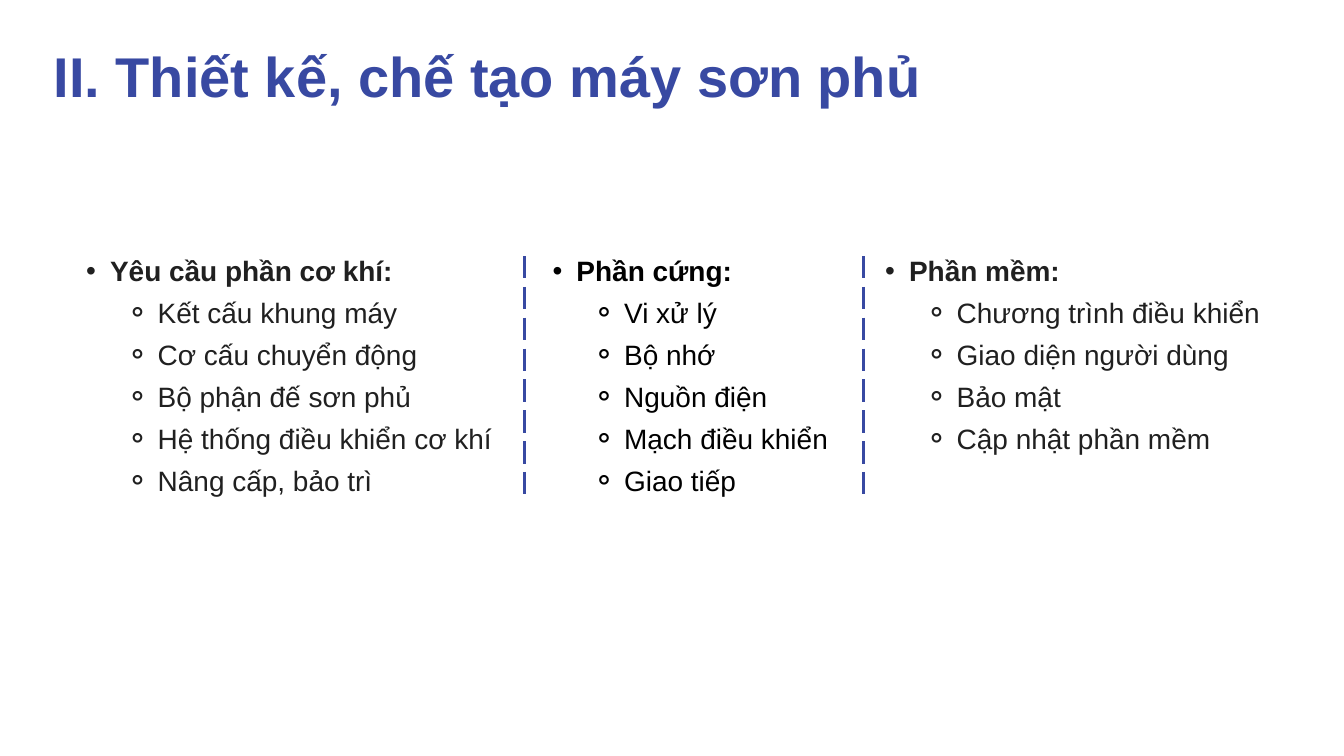
from dataclasses import dataclass

from lxml.etree import SubElement
from pptx import Presentation
from pptx.dml.color import RGBColor
from pptx.enum.dml import MSO_LINE
from pptx.enum.shapes import MSO_CONNECTOR
from pptx.enum.text import MSO_ANCHOR, MSO_AUTO_SIZE, PP_ALIGN
from pptx.oxml.ns import qn
from pptx.util import Cm, Pt


@dataclass(frozen=True)
class Theme:
    font: str = "Arial"
    blue: str = "3849A2"
    dark: str = "202020"
    black: str = "000000"
    head: int = 60
    body: int = 30


theme = Theme()


def write(para, text, *, size, color, lead, bold=False, align=PP_ALIGN.LEFT,
          level=0, mark=None, left=0, hang=0):
    """Fill a paragraph; mark is its bullet, left and hang its indents."""
    para.level = level
    para.alignment = align
    para.line_spacing = Pt(lead)
    para.space_before = para.space_after = Pt(0)
    run = para.add_run()
    run.text = text
    run.font.name = theme.font
    run.font.size = Pt(size)
    run.font.bold = bold
    run.font.color.rgb = RGBColor.from_string(color)
    if mark:
        props = para._p.get_or_add_pPr()
        props.set("marL", str(Cm(left)))
        props.set("indent", str(-Cm(hang)))
        SubElement(props, qn("a:buFont"), typeface=theme.font)
        SubElement(props, qn("a:buChar"), char=mark)


def place(holder, left, top, width, height):
    """Move a placeholder and return its text frame without margins."""
    holder.left, holder.top = Cm(left), Cm(top)
    holder.width, holder.height = Cm(width), Cm(height)
    frame = holder.text_frame
    frame.margin_left = frame.margin_right = 0
    frame.margin_top = frame.margin_bottom = 0
    frame.word_wrap = True
    frame.vertical_anchor = MSO_ANCHOR.TOP
    frame.auto_size = MSO_AUTO_SIZE.SHAPE_TO_FIT_TEXT
    return frame


deck = Presentation()
deck.slide_width, deck.slide_height = Cm(50.8), Cm(28.58)
slide = deck.slides.add_slide(deck.slide_layouts.get_by_name("Comparison"))
title, *bodies = slide.placeholders

# Title
frame = place(title, 2.03, 1.37, 44.78, 2.74)
write(frame.paragraphs[0], "II. Thiết kế, chế tạo máy sơn phủ",
      size=theme.head, color=theme.blue, lead=78, bold=True)

# Three lists: left, width, height, colour, alignment, heading, items
lists = [
    (2.36, 16.38, 11.23, theme.dark, PP_ALIGN.JUSTIFY, "Yêu cầu phần cơ khí:",
     ["Kết cấu khung máy", "Cơ cấu chuyển động", "Bộ phận đế sơn phủ",
      "Hệ thống điều khiển cơ khí", "Nâng cấp, bảo trì"]),
    (32.56, 15.11, 8.05, theme.dark, PP_ALIGN.JUSTIFY, "Phần mềm:",
     ["Chương trình điều khiển", "Giao diện người dùng", "Bảo mật",
      "Cập nhật phần mềm"]),
    (19.99, 11.35, 9.63, theme.black, PP_ALIGN.LEFT, "Phần cứng:",
     ["Vi xử lý", "Bộ nhớ", "Nguồn điện", "Mạch điều khiển", "Giao tiếp"]),
]
for body, (left, width, height, color, align, head, items) in zip(bodies, lists):
    frame = place(body, left, 9.27, width, height)
    look = dict(size=theme.body, color=color, lead=45, align=align)
    write(frame.paragraphs[0], head, bold=True, level=1, mark="•",
          left=1.8, hang=0.9, **look)
    for item in items:
        write(frame.add_paragraph(), item, level=2, mark="⚬",
              left=3.6, hang=1.2, **look)

for spare in bodies[len(lists):]:
    spare.element.getparent().remove(spare.element)

# Dashed dividers
for x in (19.84, 32.64):
    line = slide.shapes.add_connector(
        MSO_CONNECTOR.STRAIGHT, Cm(x), Cm(9.68), Cm(x), Cm(18.9))
    line.line.color.rgb = RGBColor.from_string(theme.blue)
    line.line.width = Pt(3)
    line.line.dash_style = MSO_LINE.LONG_DASH
    SubElement(line.element.spPr, qn("a:effectLst"))

deck.save("out.pptx")
